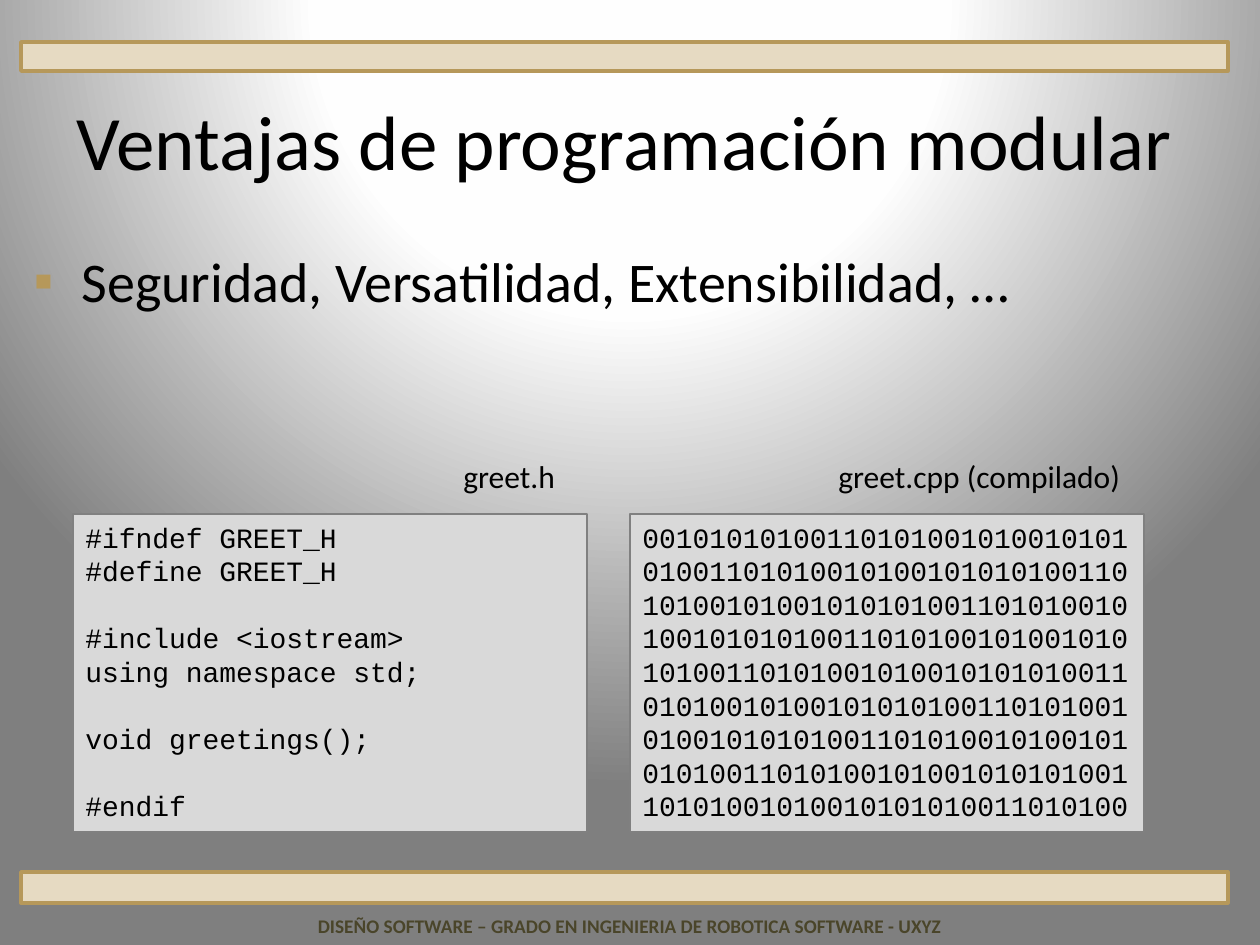
from pptx import Presentation
from pptx.dml.color import RGBColor
from pptx.enum.shapes import MSO_SHAPE
from pptx.enum.text import MSO_ANCHOR, PP_ALIGN
from pptx.oxml import parse_xml
from pptx.oxml.ns import nsdecls
from pptx.util import Emu, Pt

BLACK = RGBColor(0x00, 0x00, 0x00)
SAND = RGBColor(0xE6, 0xDA, 0xC2)
GOLD = RGBColor(0xB6, 0x98, 0x5A)
OLIVE = RGBColor(0x4A, 0x45, 0x2A)
PANEL = RGBColor(0xD9, 0xD9, 0xD9)
GREY = RGBColor(0x80, 0x80, 0x80)

BACKGROUND_STOPS = [(0, "FFFFFF"), (40, "FEFEFE"), (100, "7F7F7F")]
BIT_PATTERN = "0010101010011010100101"
HEADER_CODE = [
    "#ifndef GREET_H",
    "#define GREET_H",
    "#include <iostream>\vusing namespace std;\v\vvoid greetings();",
    "#endif",
]
COMPILED_CODE = [(BIT_PATTERN * 12)[:-3]]


def px(value):
    return Emu(round(value * 914400 / 126))


class SlideBuilder:
    """Hold the text style and the slide being built."""

    body_font = "Calibri"
    code_font = "Courier New"
    code_line = Pt(19.2)

    def __init__(self, presentation):
        self.slide = presentation.slides.add_slide(presentation.slide_layouts[1])

    def place(self, shape, left, top, width, height):
        shape.left, shape.top = px(left), px(top)
        shape.width, shape.height = px(width), px(height)

    def format_runs(self, text_frame, size, font=body_font, color=BLACK, bold=False):
        for paragraph in text_frame.paragraphs:
            for run in paragraph.runs:
                run.font.name = font
                run.font.size = Pt(size)
                run.font.color.rgb = color
                run.font.bold = bold

    def background(self, stops):
        stop_xml = "".join(
            f'<a:gs pos="{position * 1000}"><a:srgbClr val="{color}"/></a:gs>'
            for position, color in stops
        )
        self.slide.element.cSld.insert(0, parse_xml(
            f'<p:bg {nsdecls("p", "a")}><p:bgPr><a:gradFill rotWithShape="1">'
            f'<a:gsLst>{stop_xml}</a:gsLst><a:path path="circle">'
            '<a:fillToRect l="50000" t="-80000" r="50000" b="180000"/></a:path>'
            '</a:gradFill><a:effectLst/></p:bgPr></p:bg>'
        ))

    def box(self, left, top, width, height, fill, line, line_width):
        shape = self.slide.shapes.add_shape(
            MSO_SHAPE.RECTANGLE, px(left), px(top), px(width), px(height))
        shape.shadow.inherit = False
        shape.fill.solid()
        shape.fill.fore_color.rgb = fill
        shape.line.color.rgb = line
        shape.line.width = Pt(line_width)
        return shape

    def title(self, text, left, top, width, height):
        title = self.slide.shapes.title
        self.place(title, left, top, width, height)
        title.text_frame.text = text
        title.text_frame.vertical_anchor = MSO_ANCHOR.MIDDLE
        title.text_frame.paragraphs[0].alignment = PP_ALIGN.CENTER
        self.format_runs(title.text_frame, 44)

    def bullet_list(self, items, left, top, width, height):
        body = self.slide.placeholders[1]
        self.place(body, left, top, width, height)
        body.text_frame.text = "\n".join(items)
        for paragraph in body.text_frame.paragraphs:
            paragraph.space_before = Pt(0)
            properties = paragraph._p.get_or_add_pPr()
            properties.set("marL", str(px(48)))
            properties.set("indent", str(px(-48)))
            for bullet in (
                f'<a:buClr {nsdecls("a")}><a:srgbClr val="{GOLD}"/></a:buClr>',
                f'<a:buFont {nsdecls("a")} typeface="Arial"/>',
                f'<a:buChar {nsdecls("a")} char="▪"/>',
            ):
                properties.append(parse_xml(bullet))
        self.format_runs(body.text_frame, 32)

    def label(self, text, left, top, width, height, size=18, color=BLACK,
              bold=False, alignment=PP_ALIGN.LEFT):
        text_frame = self.slide.shapes.add_textbox(
            px(left), px(top), px(width), px(height)).text_frame
        text_frame.word_wrap = True
        text_frame.text = text
        text_frame.paragraphs[0].alignment = alignment
        self.format_runs(text_frame, size, color=color, bold=bold)

    def code_panel(self, blocks, left, top, width, height):
        text_frame = self.box(left, top, width, height, PANEL, GREY, 0.75).text_frame
        text_frame.word_wrap = True
        text_frame.vertical_anchor = MSO_ANCHOR.TOP
        text_frame.text = "\n".join(blocks)
        for index, paragraph in enumerate(text_frame.paragraphs):
            paragraph.alignment = PP_ALIGN.LEFT
            paragraph.line_spacing = self.code_line
            paragraph.space_before = self.code_line if index > 1 else Pt(0)
        self.format_runs(text_frame, 16, font=self.code_font)


def main():
    presentation = Presentation()
    presentation.slide_width, presentation.slide_height = px(1260), px(945)
    builder = SlideBuilder(presentation)
    builder.background(BACKGROUND_STOPS)
    for top, height in ((42, 29), (872, 31)):
        builder.box(21, top, 1207, height, SAND, GOLD, 2)
    builder.label("DISEÑO SOFTWARE – GRADO EN INGENIERIA DE ROBOTICA SOFTWARE - UXYZ",
                  0, 908, 1260, 37, 11, OLIVE, True, PP_ALIGN.CENTER)
    builder.title("Ventajas de programación modular", 21, 84, 1207, 111)
    builder.bullet_list(["Seguridad, Versatilidad, Extensibilidad, …"], 21, 240, 1207, 551)
    for blocks, left in ((HEADER_CODE, 73), (COMPILED_CODE, 630)):
        builder.code_panel(blocks, left, 514, 514, 318)
    for text, left, width in (("greet.h", 451, 285), ("greet.cpp (compilado)", 826, 309)):
        builder.label(text, left, 451, width, 50)
    presentation.save("out.pptx")


if __name__ == "__main__":
    main()
